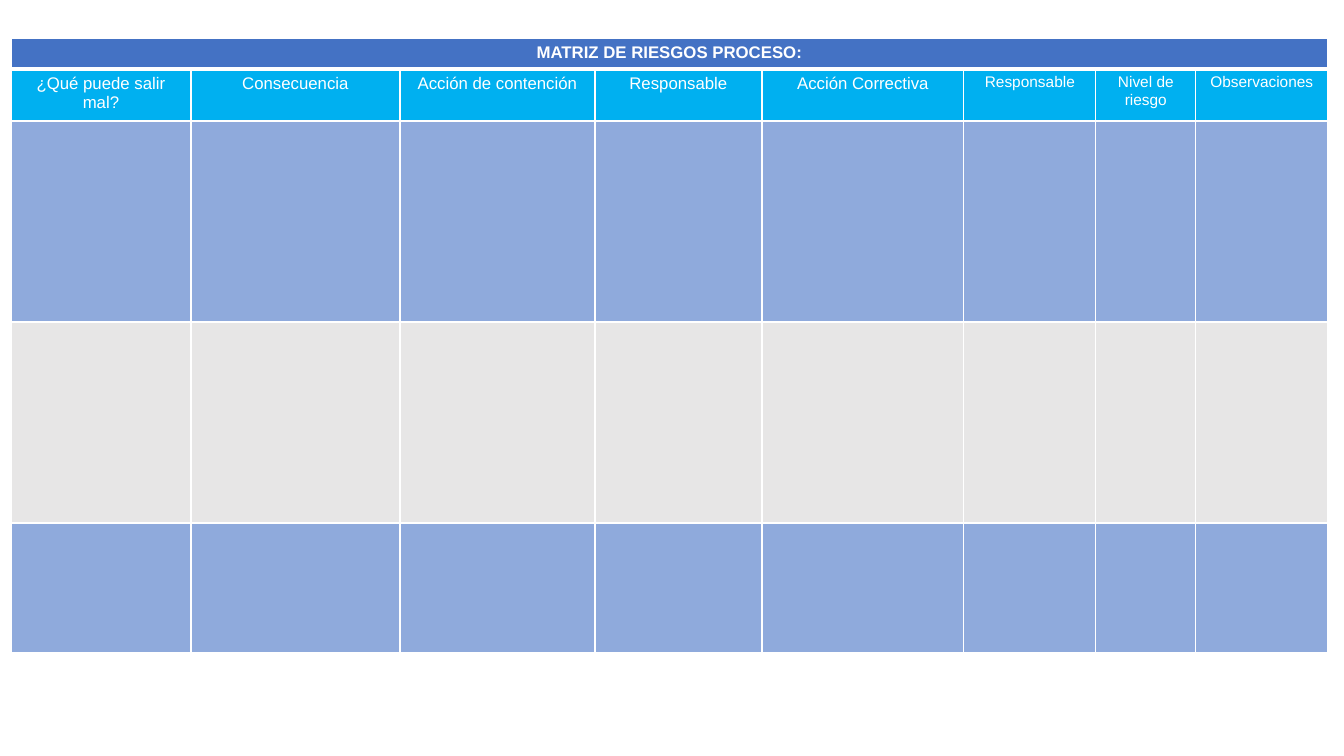
from lxml import etree
from pptx import Presentation
from pptx.dml.color import RGBColor
from pptx.enum.text import PP_ALIGN
from pptx.oxml.ns import qn
from pptx.util import Emu, Pt

CENTER = PP_ALIGN.CENTER
WHITE = RGBColor(0xFF, 0xFF, 0xFF)
BLUE = RGBColor(0x44, 0x72, 0xC4)
CYAN = RGBColor(0x00, 0xB0, 0xF0)
LIGHT_BLUE = RGBColor(0x8F, 0xAA, 0xDC)
LIGHT_GRAY = RGBColor(0xE7, 0xE6, 0xE6)

PX_PER_INCH = 100.8
TITLE = "MATRIZ DE RIESGOS PROCESO:"
COLUMNS = [
    ("¿Qué puede salir mal?", 180, 12),
    ("Consecuencia", 209, 12),
    ("Acción de contención", 195, 12),
    ("Responsable", 167, 12),
    ("Acción Correctiva", 202, 12),
    ("Responsable", 132, 11),
    ("Nivel de riesgo", 100, 11),
    ("Observaciones", 132, 11),
]
ROWS = [(31, BLUE), (52, CYAN), (201, LIGHT_BLUE), (201, LIGHT_GRAY), (130, LIGHT_BLUE)]


def px(length):
    return Emu(round(length * 914400 / PX_PER_INCH))


class RiskSlide:
    font = "Arial"

    def __init__(self, deck):
        self.page = deck.slides.add_slide(deck.slide_layouts[6])

    def table(self, left, top, widths, rows):
        heights = [height for height, _ in rows]
        frame = self.page.shapes.add_table(
            len(rows), len(widths), px(left), px(top), px(sum(widths)), px(sum(heights)))
        table = frame.table
        table.horz_banding = False
        for column, width in zip(table.columns, widths):
            column.width = px(width)
        for index, (height, color) in enumerate(rows):
            table.rows[index].height = px(height)
            for cell in table.rows[index].cells:
                cell.fill.solid()
                cell.fill.fore_color.rgb = color
                self.borders(cell, 3 if index == 1 else 1, 3 if index == 0 else 1)
        return table

    def borders(self, cell, top, bottom):
        properties = cell._tc.get_or_add_tcPr()
        sides = [("lnL", 1), ("lnR", 1), ("lnT", top), ("lnB", bottom)]
        for position, (side, points) in enumerate(sides):
            line = etree.Element(qn(f"a:{side}"), w=str(Pt(points)))
            fill = etree.SubElement(line, qn("a:solidFill"))
            etree.SubElement(fill, qn("a:srgbClr"), val=str(WHITE))
            properties.insert(position, line)

    def label(self, cell, text, size, bold=False):
        cell.text_frame.text = text
        para = cell.text_frame.paragraphs[0]
        para.alignment = CENTER
        font = para.runs[0].font
        font.name = self.font
        font.size = Pt(size)
        font.bold = bold
        font.color.rgb = WHITE


def main():
    deck = Presentation()
    deck.slide_width = px(1344)
    deck.slide_height = px(756)
    slide = RiskSlide(deck)
    matrix = slide.table(11, 38, [width for _, width, _ in COLUMNS], ROWS)
    title = matrix.cell(0, 0)
    title.merge(matrix.cell(0, len(COLUMNS) - 1))
    slide.label(title, TITLE, 12, bold=True)
    for index, (heading, _, size) in enumerate(COLUMNS):
        slide.label(matrix.cell(1, index), heading, size)
    deck.save("out.pptx")


if __name__ == "__main__":
    main()
